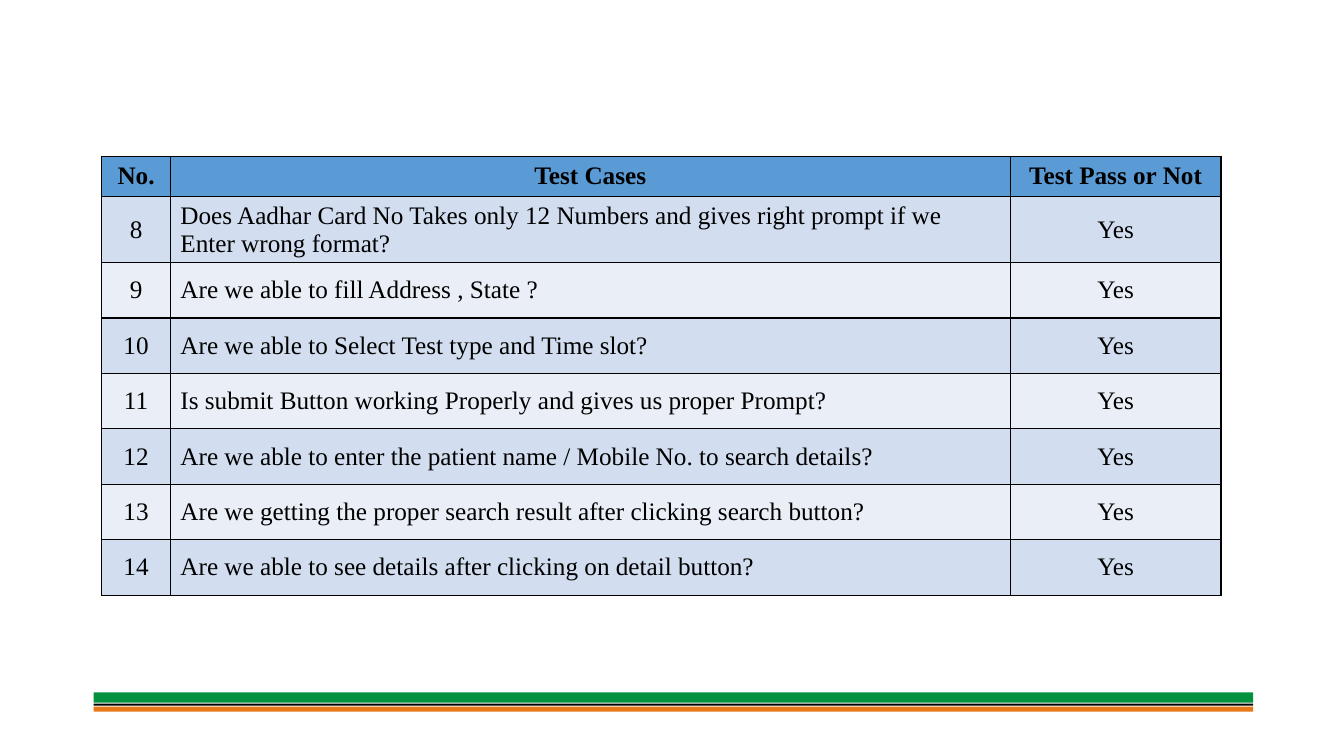
from lxml.etree import SubElement
from pptx import Presentation
from pptx.dml.color import RGBColor
from pptx.enum.shapes import MSO_SHAPE as Shape
from pptx.enum.text import MSO_ANCHOR as Anchor, PP_ALIGN as Align
from pptx.oxml.ns import qn
from pptx.util import Inches, Pt

HEADINGS = ("No.", "Test Cases", "Test Pass or Not")
FIRST_NUMBER = 8
TEST_CASES = (
    "Does Aadhar Card No Takes only 12 Numbers and gives right prompt if we Enter wrong format?",
    "Are we able to fill Address , State ?",
    "Are we able to Select Test type and Time slot?",
    "Is submit Button working Properly and gives us proper Prompt?",
    "Are we able to enter the patient name / Mobile No. to search details?",
    "Are we getting the proper search result after clicking search button?",
    "Are we able to see details after clicking on detail button?",
)
RESULT = "Yes"

COLUMN_WIDTHS = (0.68, 8.33, 2.09)
HEADING_HEIGHT, CASE_HEIGHT = 0.4, 0.55
TABLE_LEFT, TABLE_TOP = 1.01, 1.55
HEADING_FILL = "5B9BD5"
BAND_FILLS = ("D2DEEF", "EAEFF7")
INK = "000000"

STRIPE_LEFT, STRIPE_WIDTH = 0.93, 11.5
STRIPES = (
    (6.87, 0.1, "02913F"),
    (7.01, 0.05, "E67817"),
    (6.98, 0.02, INK),
)


def paint(fill, color):
    fill.solid()
    fill.fore_color.rgb = RGBColor.from_string(color)


def outline(cell, color=INK, width=1):
    properties = cell._tc.get_or_add_tcPr()
    for side in ("a:lnL", "a:lnR", "a:lnT", "a:lnB"):
        border = SubElement(properties, qn(side), w=str(Pt(width)))
        solid = SubElement(border, qn("a:solidFill"))
        SubElement(solid, qn("a:srgbClr"), val=color)


def write(cell, text, bold=False, align=Align.CENTER, size=18, color=INK):
    cell.vertical_anchor = Anchor.MIDDLE
    paragraph = cell.text_frame.paragraphs[0]
    paragraph.alignment = align
    run = paragraph.add_run()
    run.text = text
    run.font.name = "Times New Roman"
    run.font.size = Pt(size)
    run.font.bold = bold
    paint(run.font.fill, color)


def add_stripes(slide):
    for top, height, color in STRIPES:
        stripe = slide.shapes.add_shape(
            Shape.RECTANGLE, Inches(STRIPE_LEFT), Inches(top),
            Inches(STRIPE_WIDTH), Inches(height))
        stripe.shadow.inherit = False
        stripe.line.fill.background()
        paint(stripe.fill, color)


def add_test_table(slide):
    rows = [HEADINGS] + [
        (str(number), case, RESULT)
        for number, case in enumerate(TEST_CASES, FIRST_NUMBER)]
    heights = [HEADING_HEIGHT] + [CASE_HEIGHT] * len(TEST_CASES)
    table = slide.shapes.add_table(
        len(rows), len(HEADINGS), Inches(TABLE_LEFT), Inches(TABLE_TOP),
        Inches(sum(COLUMN_WIDTHS)), Inches(sum(heights))).table
    for column, width in zip(table.columns, COLUMN_WIDTHS):
        column.width = Inches(width)
    for r, (values, height) in enumerate(zip(rows, heights)):
        table.rows[r].height = Inches(height)
        is_heading = r == 0
        row_fill = HEADING_FILL if is_heading else BAND_FILLS[(r - 1) % 2]
        for c, value in enumerate(values):
            cell = table.cell(r, c)
            is_case = c == 1 and not is_heading
            write(cell, value, bold=is_heading,
                  align=Align.LEFT if is_case else Align.CENTER)
            outline(cell)
            paint(cell.fill, row_fill)


def main():
    deck = Presentation()
    deck.slide_width, deck.slide_height = Inches(13.33), Inches(7.5)
    slide = deck.slides.add_slide(deck.slide_layouts[6])
    add_stripes(slide)
    add_test_table(slide)
    deck.save("out.pptx")


if __name__ == "__main__":
    main()
